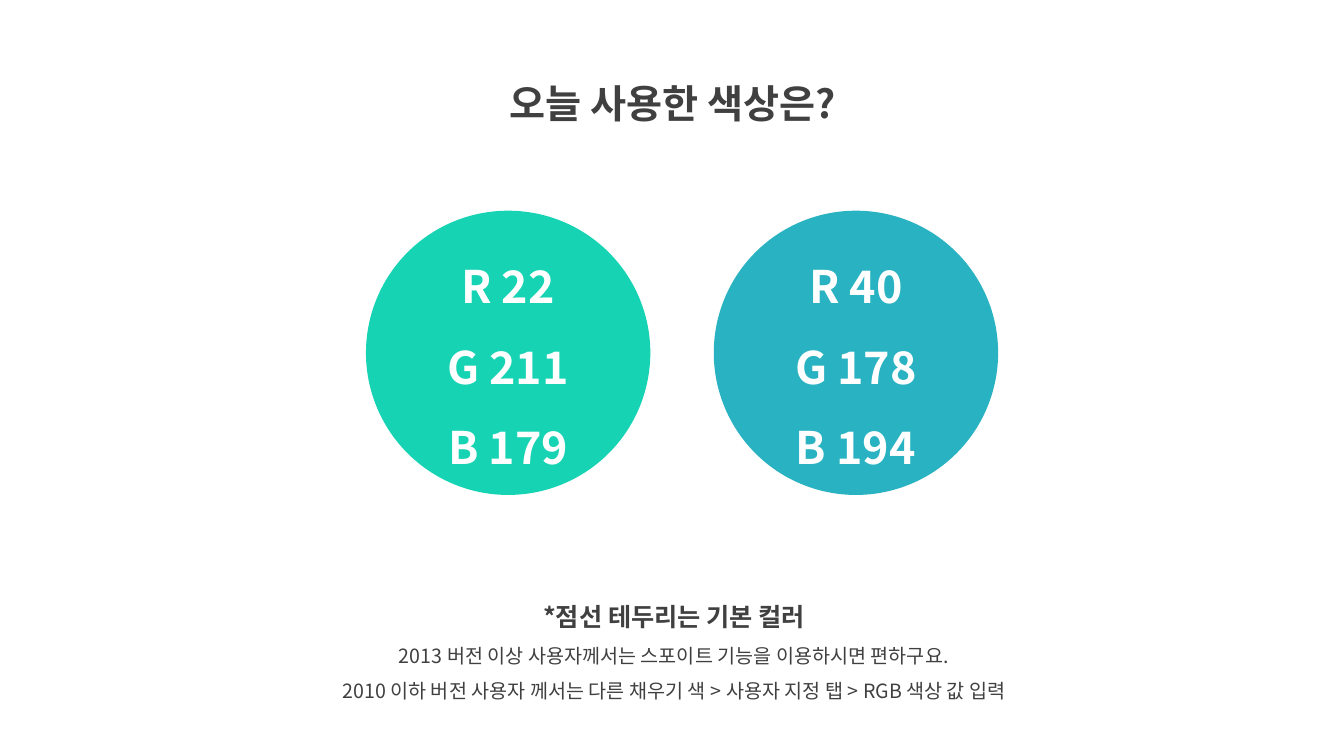
from pptx import Presentation
from pptx.dml.color import RGBColor
from pptx.enum.shapes import MSO_SHAPE
from pptx.enum.text import MSO_ANCHOR, MSO_AUTO_SIZE, PP_ALIGN
from pptx.oxml.ns import qn
from pptx.util import Inches, Pt

ELLIPSE = MSO_SHAPE.OVAL
TOP, MIDDLE = MSO_ANCHOR.TOP, MSO_ANCHOR.MIDDLE
GROW, FIXED = MSO_AUTO_SIZE.SHAPE_TO_FIT_TEXT, MSO_AUTO_SIZE.NONE
CENTER = PP_ALIGN.CENTER

DARK = RGBColor(0x40, 0x40, 0x40)
WHITE = RGBColor(0xFF, 0xFF, 0xFF)
MINT = RGBColor(22, 211, 179)
TEAL = RGBColor(40, 178, 194)


class Deck:
    font = "Noto Sans CJK KR"
    line_spacing = 1.5

    def __init__(self):
        self.prs = Presentation()
        self.prs.slide_width = Inches(13.33)
        self.prs.slide_height = Inches(7.5)
        self.s = self.prs.slides.add_slide(self.prs.slide_layouts[5])

    def box(self, x, y, w, h):
        width, height = self.prs.slide_width, self.prs.slide_height
        return [round(share * full / 100) for share, full in
                ((x, width), (y, height), (w, width), (h, height))]

    def add_lines(self, sp, lines, color, anchor, auto_size):
        tf = sp.text_frame
        tf.word_wrap = True
        tf.auto_size = auto_size
        tf.vertical_anchor = anchor
        for i, (text, size, bold) in enumerate(lines):
            p = tf.add_paragraph() if i else tf.paragraphs[0]
            p.alignment = CENTER
            p.line_spacing = self.line_spacing
            p.space_before = Pt(0)
            r = p.add_run()
            r.text = text
            r.font.size = Pt(size)
            r.font.bold = bold
            r.font.name = self.font
            r.font.color.rgb = color
            latin = r._r.rPr.find(qn("a:latin"))
            latin.addnext(latin.makeelement(qn("a:ea"), {"typeface": self.font}))

    def title(self, text, *share):
        sp = self.s.shapes.title
        sp.left, sp.top, sp.width, sp.height = self.box(*share)
        self.add_lines(sp, [(text, 28, True)], DARK, TOP, GROW)

    def note(self, lines, *share):
        sp = self.s.shapes.add_textbox(*self.box(*share))
        self.add_lines(sp, lines, DARK, TOP, GROW)

    def swatch(self, color, *share):
        sp = self.s.shapes.add_shape(ELLIPSE, *self.box(*share))
        sp.shadow.inherit = False
        sp.fill.solid()
        sp.fill.fore_color.rgb = color
        sp.line.fill.background()
        lines = [(f"{channel} {value}", 32, True)
                 for channel, value in zip("RGB", color)]
        self.add_lines(sp, lines, WHITE, MIDDLE, FIXED)


deck = Deck()
deck.title("오늘 사용한 색상은?", 32.71, 6.67, 34.73, 9.6)
deck.note([
    ("*점선 테두리는 기본 컬러", 18, True),
    ("2013 버전 이상 사용자께서는 스포이트 기능을 이용하시면 편하구요.", 14, False),
    ("2010 이하 버전 사용자 께서는 다른 채우기 색 > 사용자 지정 탭 > RGB 색상 값 입력", 14, False),
], 20.18, 76.93, 59.94, 16.8)
for i, color in enumerate((MINT, TEAL)):
    deck.swatch(color, 27.23 + i * 25.88, 27.87, 21.16, 37.6)
deck.prs.save("out.pptx")
